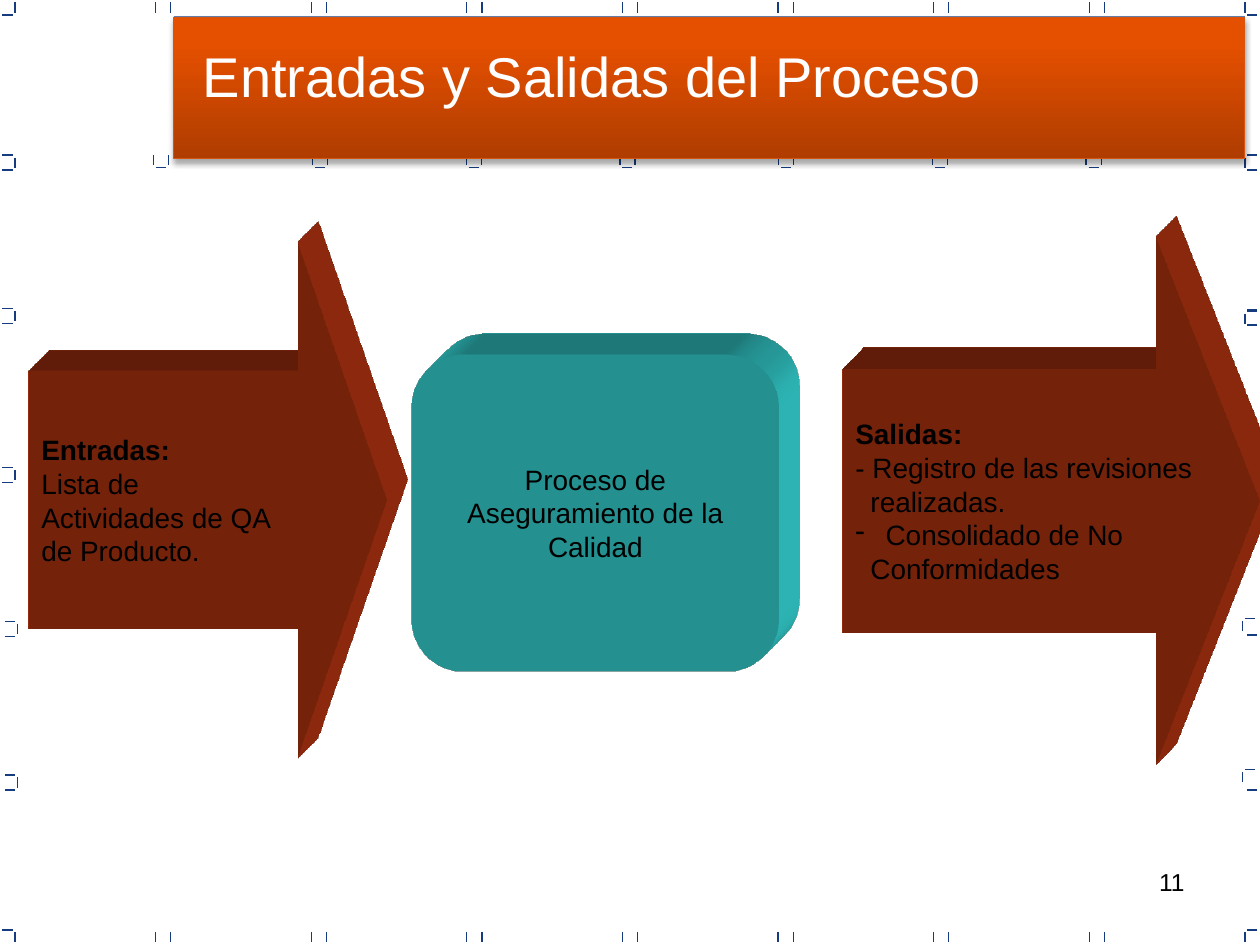
from pptx import Presentation
from pptx.dml.color import RGBColor
from pptx.enum.shapes import MSO_CONNECTOR, MSO_SHAPE
from pptx.enum.text import MSO_ANCHOR, PP_ALIGN
from pptx.oxml import parse_xml
from pptx.oxml.ns import nsdecls, qn
from pptx.util import Inches, Pt

NAVY = RGBColor(0x16, 0x3B, 0x7F)
BROWN = RGBColor(0xA5, 0x30, 0x0F)
TEAL = RGBColor(0x33, 0xCC, 0xCC)
RIM = RGBColor(0xD5, 0x55, 0x11)
BLACK = RGBColor(0x00, 0x00, 0x00)
WHITE = RGBColor(0xFF, 0xFF, 0xFF)
BANNER_STOPS = [(0, RGBColor(0xAF, 0x3D, 0x00)), (80, RGBColor(0xE4, 0x4F, 0x00)),
                (100, RGBColor(0xE5, 0x4F, 0x00))]
FONT = "Arial"

TITLE = "Entradas y Salidas del Proceso"
PAGE = "11"
STAGES = [
    dict(text="Entradas:\vLista de\nActividades de QA\nde Producto.",
         box=(0.23, 1.92, 2.84, 4.1), preset=MSO_SHAPE.RIGHT_ARROW, adjust=(0.5, 0.25),
         color=BROWN, align=PP_ALIGN.LEFT, wrap=False, heading=True),
    dict(text="Proceso de Aseguramiento de la Calidad",
         box=(3.27, 2.81, 2.91, 2.52), preset=MSO_SHAPE.ROUNDED_RECTANGLE, adjust=(0.167,),
         color=TEAL, align=PP_ALIGN.CENTER, wrap=True, heading=False),
    dict(text="Salidas:\v- Registro de las revisiones\nrealizadas.\nConsolidado de No\nConformidades",
         box=(6.69, 1.88, 3.31, 4.19), preset=MSO_SHAPE.RIGHT_ARROW, adjust=(0.5, 0.25),
         color=BROWN, align=PP_ALIGN.JUSTIFY, wrap=False, heading=True,
         indents={1: 0.12, 3: 0.12}, bullets={2: 0.24}),
]

TICK, GAP, EDGE = 0.08, 0.12, 0.02
COLUMN = 1.235
EDGE_ROWS = (0.02, 7.4)
BANNER_TICKS = (1.22, 2.48, 3.7, 4.92, 6.18, 7.4, 8.62)
LEFT_TICKS = [(0.02, 1.23), (0.02, 2.45), (0.02, 3.71), (0.04, 4.93), (0.04, 6.15)]
RIGHT_TICKS = [(9.88, 1.23), (9.88, 2.47), (9.86, 3.67), (9.86, 4.91), (9.86, 6.11)]
RIGHT_CLOSERS = (1.35, 2.46, 2.58, 3.81, 5.04, 6.27)

prs = Presentation()
prs.slide_width, prs.slide_height = Inches(10), Inches(7.5)
slide = prs.slides.add_slide(prs.slide_layouts[5])
shapes = slide.shapes


def tick(x, y, dx=0, dy=0):
    mark = shapes.add_connector(MSO_CONNECTOR.STRAIGHT, *map(Inches, (x, y, x + dx, y + dy)))
    mark.line.color.rgb = NAVY
    mark.line.width = Pt(0.75)
    mark._element.spPr.append(parse_xml(f"<a:effectLst {nsdecls('a')}/>"))


def upright(x, y):
    tick(x, y, dy=TICK)


def level(x, y):
    tick(x, y, dx=TICK)


def add_block(preset, box, color):
    block = shapes.add_shape(preset, *map(Inches, box))
    block.shadow.inherit = False
    block.fill.solid()
    block.fill.fore_color.rgb = color
    block.line.fill.background()
    return block


def style(frame, size, color, align):
    for paragraph in frame.paragraphs:
        paragraph.alignment = align
        for run in paragraph.runs:
            run.font.name, run.font.size = FONT, Pt(size)
            run.font.color.rgb = color


def extrude(block, color):
    block._element.spPr.append(parse_xml(
        f'<a:scene3d {nsdecls("a")}><a:camera prst="legacyObliqueTopRight"/>'
        '<a:lightRig rig="legacyFlat3" dir="b"/></a:scene3d>'))
    block._element.spPr.append(parse_xml(
        f'<a:sp3d {nsdecls("a")} extrusionH="430200" prstMaterial="legacyMatte">'
        '<a:bevelT w="13500" h="13500" prst="angle"/><a:bevelB w="13500" h="13500" prst="angle"/>'
        f'<a:extrusionClr><a:srgbClr val="{color}"/></a:extrusionClr></a:sp3d>'))


def indent(paragraph, inches, bullet=None):
    properties = paragraph._p.get_or_add_pPr()
    properties.set("marL", str(Inches(inches)))
    if bullet:
        properties.set("indent", str(-Inches(inches)))
        properties.append(parse_xml(f'<a:buChar {nsdecls("a")} char="{bullet}"/>'))


def add_stage(stage):
    block = add_block(stage["preset"], stage["box"], stage["color"])
    for index, value in enumerate(stage["adjust"]):
        block.adjustments[index] = value
    extrude(block, stage["color"])
    frame = block.text_frame
    frame.text = stage["text"]
    frame.word_wrap = stage["wrap"]
    frame.vertical_anchor = MSO_ANCHOR.MIDDLE
    style(frame, 16, BLACK, stage["align"])
    frame.paragraphs[0].runs[0].font.bold = stage["heading"]
    for index, inches in stage.get("indents", {}).items():
        indent(frame.paragraphs[index], inches)
    for index, inches in stage.get("bullets", {}).items():
        indent(frame.paragraphs[index], inches, "-")


def add_banner():
    banner = add_block(MSO_SHAPE.RECTANGLE, (1.38, 0.14, 8.5, 1.12), RIM)
    banner.line.color.rgb = RIM
    banner.line.width = Pt(0.75)
    properties = banner._element.spPr
    stops = "".join(f'<a:gs pos="{share * 1000}"><a:srgbClr val="{color}"/></a:gs>'
                    for share, color in BANNER_STOPS)
    properties.replace(properties.find(qn("a:solidFill")), parse_xml(
        f'<a:gradFill {nsdecls("a")} rotWithShape="1"><a:gsLst>{stops}</a:gsLst>'
        '<a:lin ang="16200000" scaled="0"/></a:gradFill>'))
    properties.find(qn("a:effectLst")).append(parse_xml(
        f'<a:outerShdw {nsdecls("a")} blurRad="40000" dist="23000" dir="5400000" rotWithShape="0">'
        '<a:srgbClr val="000000"><a:alpha val="35000"/></a:srgbClr></a:outerShdw>'))


def add_ticks():
    for y in EDGE_ROWS:
        upright(GAP, y)
        upright(8 * COLUMN, y)
        for column in range(1, 8):
            upright(column * COLUMN, y)
            upright(column * COLUMN + GAP, y)
    for y in (0.12, 7.38):
        level(EDGE, y)
        level(9.9, y)
    for x, y in LEFT_TICKS:
        level(x, y)
        level(x, y + GAP)
        upright(x + TICK + EDGE, y + EDGE)
    for x, y in RIGHT_TICKS:
        level(x + EDGE, y)
        upright(x, y + EDGE)
    for y in RIGHT_CLOSERS:
        level(9.9, y)
    for x in BANNER_TICKS:
        upright(x, 1.23)
        upright(x + GAP, 1.23)
        level(x + EDGE, 1.33)


page = shapes.add_textbox(*map(Inches, (7.17, 6.83, 2.33, 0.52))).text_frame
page.word_wrap = True
page.text = PAGE
style(page, 14, BLACK, PP_ALIGN.RIGHT)

add_ticks()
add_block(MSO_SHAPE.RECTANGLE, (1.38, 0.13, 8.5, 1.1), NAVY)
for stage in STAGES:
    add_stage(stage)
add_banner()

title = shapes.title
title.left, title.top, title.width, title.height = map(Inches, (1.51, 0.28, 6.8, 0.63))
title.text_frame.text = TITLE
title.text_frame.vertical_anchor = MSO_ANCHOR.TOP
style(title.text_frame, 32, WHITE, PP_ALIGN.LEFT)
shapes._spTree.append(title._element)

prs.save("out.pptx")
